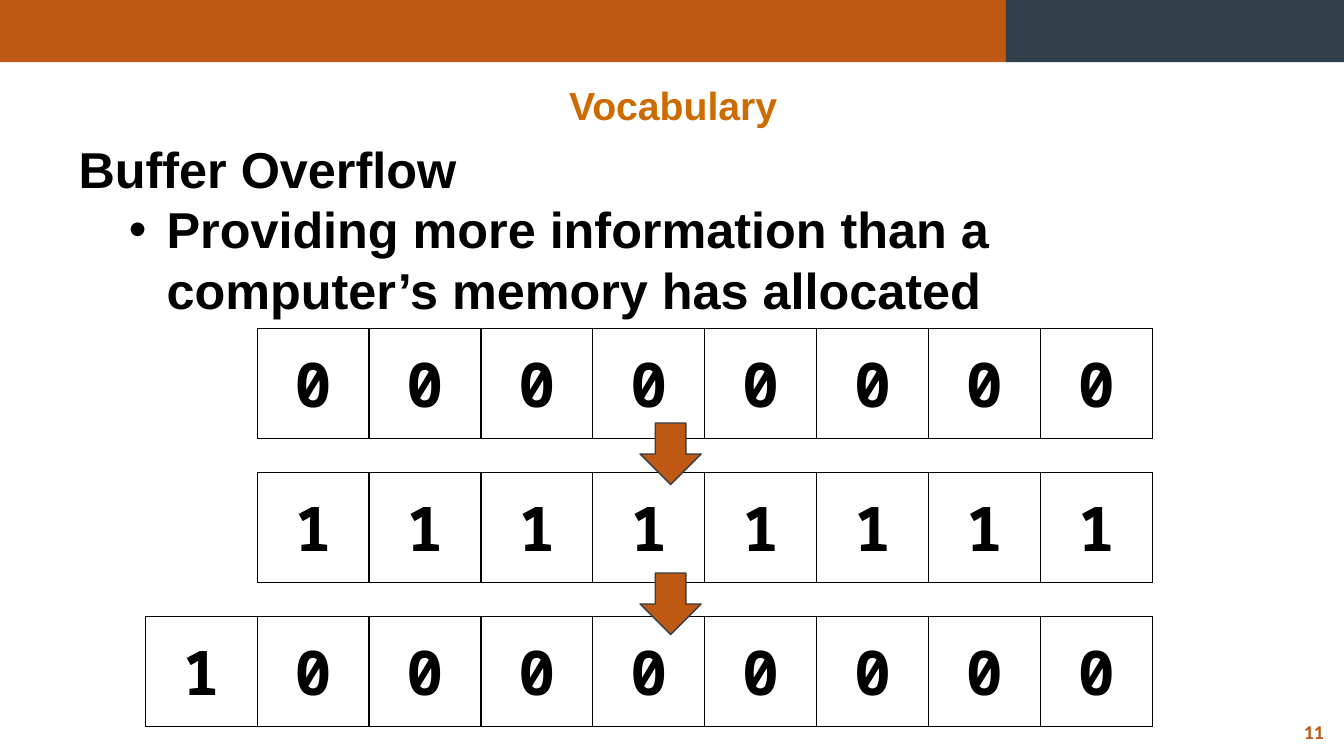
from lxml import etree
from pptx import Presentation
from pptx import util as u
from pptx.dml.color import RGBColor
from pptx.enum import shapes, text
from pptx.oxml import ns

Cm = u.Cm
ORANGE = RGBColor(0xBE, 0x58, 0x12)
AMBER = RGBColor(0xCD, 0x6B, 0x00)
SLATE = RGBColor(0x33, 0x3F, 0x48)
BLACK = RGBColor(0, 0, 0)
WHITE = RGBColor(255, 255, 255)
CELL = 2.82
HEIGHT = 2.77
RIGHT = 29.04


def set_font(para, size, name, color):
    font = para.font
    font.size = u.Pt(size)
    font.name = name
    font.bold = True
    font.color.rgb = color


def add_form(slide, kind, x, y, w, h, fill, line=None):
    form = slide.shapes.add_shape(kind, Cm(x), Cm(y), Cm(w), Cm(h))
    form.shadow.inherit = False
    form.fill.solid()
    form.fill.fore_color.rgb = fill
    if line is None:
        form.line.fill.background()
    else:
        form.line.color.rgb = line
        form.line.width = u.Pt(1)


def add_text(slide, x, y, w, h, lines, size, name, color, align):
    box = slide.shapes.add_textbox(Cm(x), Cm(y), Cm(w), Cm(h))
    frame = box.text_frame
    frame.word_wrap = True
    frame.text = "\n".join(lines)
    for para in frame.paragraphs:
        para.alignment = align
        set_font(para, size, name, color)
    return frame


def add_bullet(para):
    para.level = 1
    props = para._p.get_or_add_pPr()
    props.set("marL", str(Cm(2.22)))
    props.set("indent", str(Cm(-0.95)))
    font = etree.Element(ns.qn("a:buFont"), typeface="Arial")
    mark = etree.Element(ns.qn("a:buChar"), char="•")
    props.insert(0, font)
    props.insert(1, mark)


def add_border(cell):
    props = cell._tc.get_or_add_tcPr()
    for i, side in enumerate(("lnL", "lnR", "lnT", "lnB")):
        line = etree.Element(ns.qn("a:" + side), w=str(u.Pt(1)))
        fill = etree.SubElement(line, ns.qn("a:solidFill"))
        etree.SubElement(fill, ns.qn("a:srgbClr"), val=str(BLACK))
        props.insert(i, line)


def add_bits(slide, y, bits):
    count = len(bits)
    wide = CELL * count
    frame = slide.shapes.add_table(
        1, count, Cm(RIGHT - wide), Cm(y), Cm(wide), Cm(HEIGHT))
    for cell, bit in zip(frame.table.iter_cells(), bits):
        cell.text = bit
        cell.vertical_anchor = text.MSO_ANCHOR.MIDDLE
        cell.fill.solid()
        cell.fill.fore_color.rgb = WHITE
        add_border(cell)
        para = cell.text_frame.paragraphs[0]
        para.alignment = text.PP_ALIGN.CENTER
        set_font(para, 44, "Noto Sans Mono", BLACK)


def main():
    deck = Presentation()
    deck.slide_width = Cm(33.87)
    deck.slide_height = Cm(19.05)
    slide = deck.slides.add_slide(deck.slide_layouts[6])
    kind = shapes.MSO_SHAPE
    align = text.PP_ALIGN

    add_form(slide, kind.RECTANGLE, 0, -0.03, 25.35, 1.6, ORANGE)
    add_form(slide, kind.RECTANGLE, 25.35, -0.03, 8.52, 1.6, SLATE)
    add_text(slide, 31.78, 18.01, 1.83, 0.86, ["11"],
             14, "Calibri", ORANGE, align.RIGHT)
    add_text(slide, 0.71, 1.92, 32.51, 1.45, ["Vocabulary"],
             28, "Arial", AMBER, align.CENTER)

    lines = ["Buffer Overflow",
             "Providing more information than a computer’s memory "
             "has allocated"]
    body = add_text(slide, 1.73, 3.35, 27.38, 4.88, lines,
                    36, "Arial", BLACK, align.LEFT)
    add_bullet(body.paragraphs[1])

    for i, bits in enumerate(("00000000", "11111111", "100000000")):
        add_bits(slide, 8.28 + i * 3.63, bits)
    for y in (10.66, 14.44):
        add_form(slide, kind.DOWN_ARROW, 16.13, y, 1.54, 1.55, ORANGE, SLATE)

    deck.save("out.pptx")


if __name__ == "__main__":
    main()
